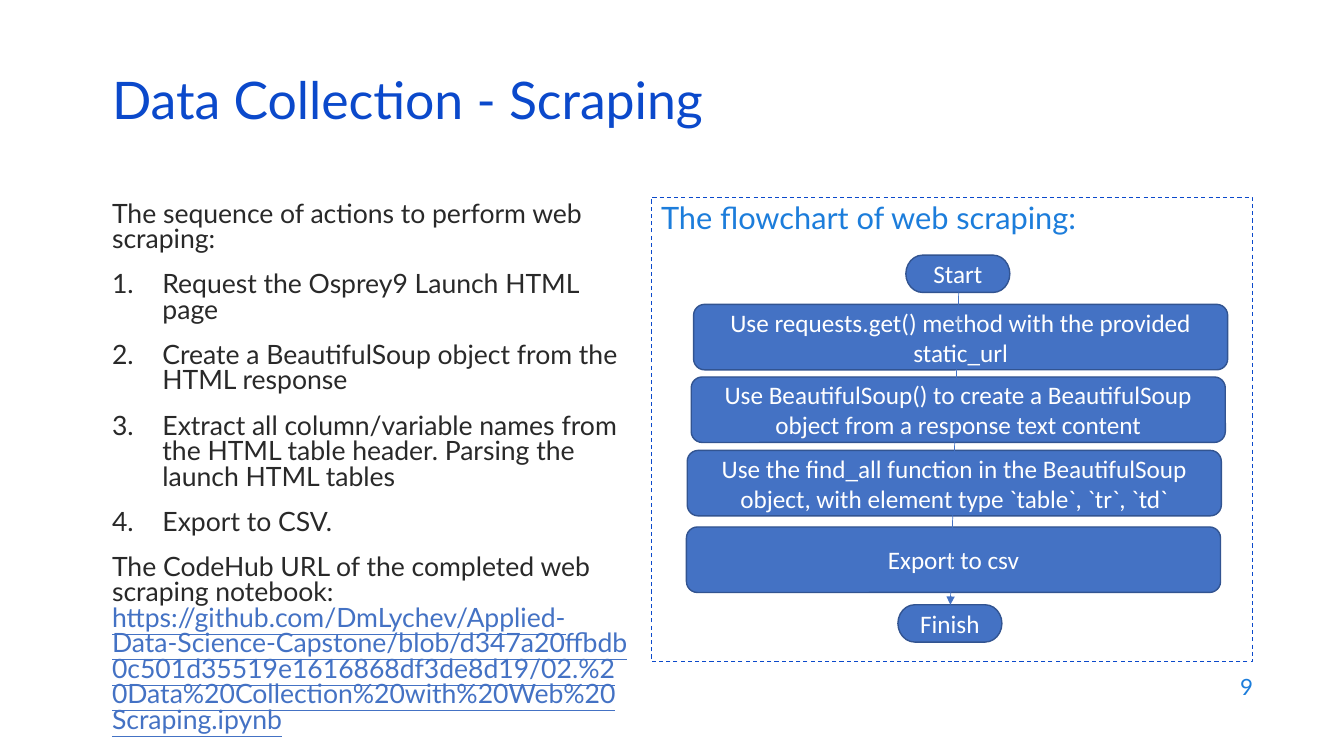
from dataclasses import dataclass

from lxml.etree import SubElement
from pptx import Presentation
from pptx.dml.color import RGBColor
from pptx.enum.dml import MSO_LINE
from pptx.enum.shapes import MSO_CONNECTOR, MSO_SHAPE
from pptx.enum.text import MSO_ANCHOR as Anchor, MSO_AUTO_SIZE, PP_ALIGN as Align
from pptx.oxml.ns import qn
from pptx.util import Cm, Pt

TITLE_BLUE = RGBColor(0x0B, 0x49, 0xCB)
ACCENT_BLUE = RGBColor(0x1C, 0x7D, 0xDB)
BOX_FILL = RGBColor(0x44, 0x72, 0xC4)
BOX_LINE = RGBColor(0x32, 0x54, 0x91)
BODY_TEXT = RGBColor(0x29, 0x29, 0x29)
WHITE = RGBColor(0xFF, 0xFF, 0xFF)

INDENT = Cm(1.27)
STEP_SIZE = (13.46, 1.65)
TERMINATOR_SIZE = (2.62, 0.94)

INTRO = "The sequence of actions to perform web scraping:"
ACTIONS = [
    "Request the Osprey9 Launch HTML page",
    "Create a BeautifulSoup object from the HTML response",
    "Extract all column/variable names from the HTML table header. "
    "Parsing the launch HTML tables",
    "Export to CSV.",
]
LINK_LABEL = "The CodeHub URL of the completed web scraping notebook: "
NOTEBOOK_URL = (
    "https://github.com/DmLychev/Applied-Data-Science-Capstone/blob/"
    "d347a20ffbdb0c501d35519e1616868df3de8d19/"
    "02.%20Data%20Collection%20with%20Web%20Scraping.ipynb"
)


@dataclass(frozen=True)
class FlowNode:
    text: str
    left: float
    top: float
    terminator: bool = False


FLOW_NODES = [
    FlowNode("Start", 22.83, 6.43, terminator=True),
    FlowNode("Use requests.get() method with the provided static_url", 17.48, 7.67),
    FlowNode("Use BeautifulSoup() to create a BeautifulSoup object "
             "from a response text content", 17.42, 9.5),
    FlowNode("Use the find_all function in the BeautifulSoup object, "
             "with element type `table`, `tr`, `td`", 17.32, 11.35),
    FlowNode("Export to csv", 17.3, 13.28),
    FlowNode("Finish", 22.63, 15.24, terminator=True),
]


def place(shape, left: float, top: float, width: float, height: float) -> None:
    shape.left, shape.top = Cm(left), Cm(top)
    shape.width, shape.height = Cm(width), Cm(height)


def set_frame(shape, anchor: Anchor) -> None:
    shape.text_frame.word_wrap = True
    shape.text_frame.auto_size = MSO_AUTO_SIZE.NONE
    shape.text_frame.vertical_anchor = anchor


def style(paragraph, size: float, color: RGBColor, font_name: str = "Lato",
          alignment: Align = Align.LEFT, line_spacing: float = 1.0) -> None:
    paragraph.alignment = alignment
    paragraph.line_spacing = line_spacing
    paragraph.font.name = font_name
    paragraph.font.size = Pt(size)
    paragraph.font.color.rgb = color


def set_numbering(paragraph, numbered: bool) -> None:
    properties = paragraph._p.get_or_add_pPr()
    indent = INDENT if numbered else 0
    properties.set("marL", str(indent))
    properties.set("indent", str(-indent))
    if numbered:
        SubElement(properties, qn("a:buFont"), typeface="+mj-lt")
        SubElement(properties, qn("a:buAutoNum"), type="arabicPeriod")
    else:
        SubElement(properties, qn("a:buNone"))


def add_title(slide) -> None:
    title = slide.shapes.title
    place(title, 2.57, 1.93, 29.21, 1.52)
    title.text = "Data Collection - Scraping"
    set_frame(title, Anchor.MIDDLE)
    style(title.text_frame.paragraphs[0], 37, TITLE_BLUE, line_spacing=0.7)


def add_actions(slide) -> None:
    body = slide.placeholders[1]
    place(body, 2.57, 4.98, 13.51, 12.57)
    body.text = "\n".join([INTRO, *ACTIONS, LINK_LABEL])
    set_frame(body, Anchor.TOP)
    for index, paragraph in enumerate(body.text_frame.paragraphs):
        set_numbering(paragraph, 1 <= index <= len(ACTIONS))
        style(paragraph, 19, BODY_TEXT, line_spacing=0.8)
        paragraph.space_before = Pt(14 if index else 0)
    link = body.text_frame.paragraphs[-1].add_run()
    link.text = NOTEBOOK_URL
    link.font.color.rgb = BOX_FILL
    link.font.underline = True


def add_flow_panel(slide) -> None:
    panel = slide.shapes.add_shape(
        MSO_SHAPE.RECTANGLE, Cm(16.41), Cm(4.98), Cm(15.16), Cm(11.68))
    panel.shadow.inherit = False
    panel.fill.background()
    panel.line.color.rgb = TITLE_BLUE
    panel.line.width = Pt(0.75)
    panel.line.dash_style = MSO_LINE.DASH
    panel.text_frame.text = "The flowchart of web scraping:"
    set_frame(panel, Anchor.TOP)
    style(panel.text_frame.paragraphs[0], 22, ACCENT_BLUE, line_spacing=0.9)


def add_flow_node(slide, node: FlowNode) -> None:
    if node.terminator:
        preset, size = MSO_SHAPE.FLOWCHART_TERMINATOR, TERMINATOR_SIZE
    else:
        preset, size = MSO_SHAPE.ROUNDED_RECTANGLE, STEP_SIZE
    shape = slide.shapes.add_shape(
        preset, Cm(node.left), Cm(node.top), Cm(size[0]), Cm(size[1]))
    shape.shadow.inherit = False
    shape.fill.solid()
    shape.fill.fore_color.rgb = BOX_FILL
    shape.line.color.rgb = BOX_LINE
    shape.line.width = Pt(1)
    shape.text_frame.text = node.text
    set_frame(shape, Anchor.MIDDLE)
    style(shape.text_frame.paragraphs[0], 18, WHITE, "Calibri", Align.CENTER)


def add_flow_arrow(slide) -> None:
    arrow = slide.shapes.add_connector(
        MSO_CONNECTOR.STRAIGHT, Cm(24.16), Cm(7.37), Cm(23.95), Cm(15.24))
    arrow.line.color.rgb = BOX_FILL
    arrow.line.width = Pt(0.5)
    SubElement(arrow.line._get_or_add_ln(), qn("a:tailEnd"), type="triangle")
    SubElement(arrow._element.spPr, qn("a:effectLst"))


def add_page_number(slide) -> None:
    box = slide.shapes.add_textbox(Cm(24.21), Cm(16.74), Cm(7.62), Cm(1.12))
    box.text_frame.text = "9"
    set_frame(box, Anchor.MIDDLE)
    style(box.text_frame.paragraphs[0], 16, ACCENT_BLUE, alignment=Align.RIGHT)


def main() -> None:
    presentation = Presentation()
    presentation.slide_width = Cm(33.87)
    presentation.slide_height = Cm(19.05)
    slide = presentation.slides.add_slide(presentation.slide_layouts[1])
    add_page_number(slide)
    add_actions(slide)
    add_title(slide)
    add_flow_panel(slide)
    for node in FLOW_NODES:
        add_flow_node(slide, node)
    add_flow_arrow(slide)
    presentation.save("out.pptx")


if __name__ == "__main__":
    main()
